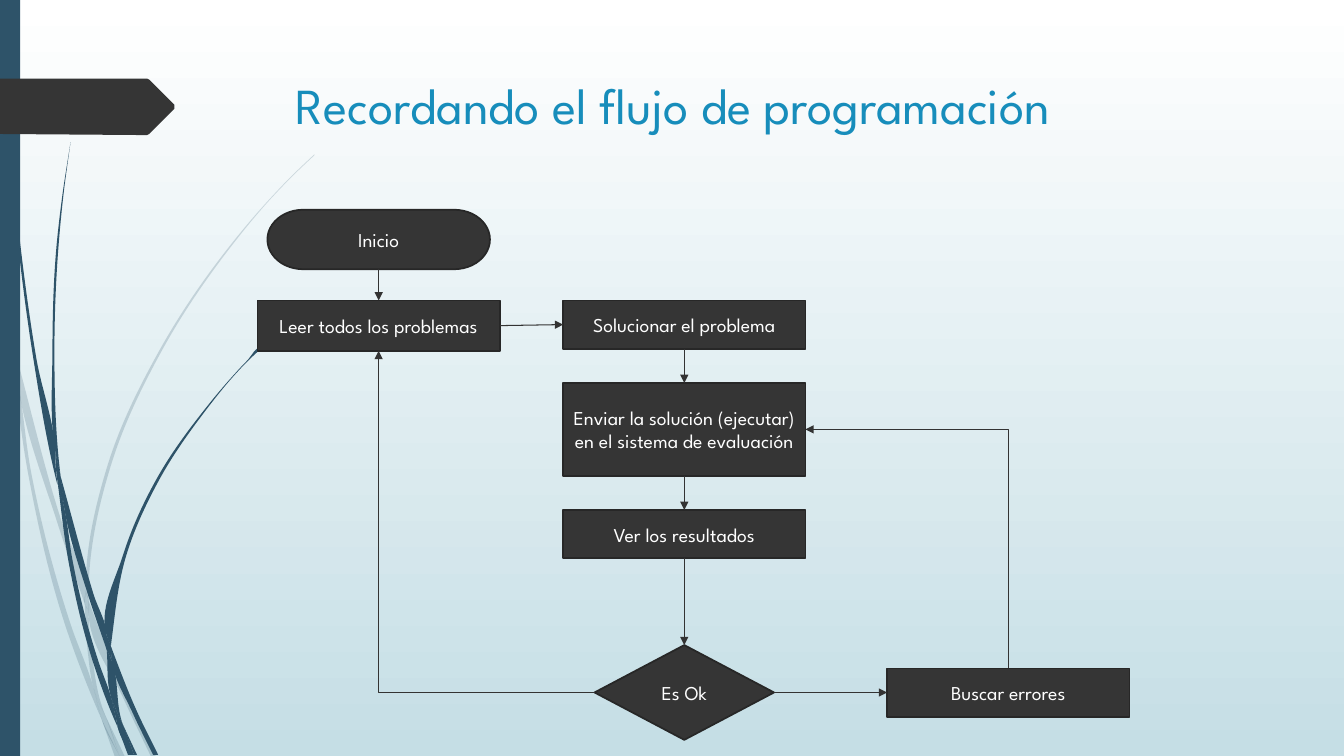
from lxml.etree import SubElement
from pptx import Presentation
from pptx.dml.color import RGBColor
from pptx.enum.shapes import MSO_CONNECTOR as LINE, MSO_SHAPE as SHAPE
from pptx.enum.text import MSO_ANCHOR as ANCHOR, PP_ALIGN as ALIGN
from pptx.oxml.ns import qn
from pptx.util import Pt

FONT = "League Spartan"
COLORS = {"sky": "FFFFFF", "mist": "C5DEE5", "stem": "2E5369", "box": "353535",
          "edge": "272727", "arrow": "333333", "title": "178DBB", "label": "FFFFFF"}
TITLE = "Recordando el flujo de programación"

# Flowchart steps: name -> (label, shape, centre x, top, width, height)
STEPS = {
    "start": ("Inicio", SHAPE.FLOWCHART_TERMINATOR, 270.5, 149.8, 159, 42.5),
    "read": ("Leer todos los problemas", SHAPE.FLOWCHART_PROCESS, 270.5, 214.6, 173, 36),
    "solve": ("Solucionar el problema", SHAPE.FLOWCHART_PROCESS, 488.8, 214.6, 173, 34.5),
    "send": ("Enviar la solución (ejecutar) en el sistema de evaluación",
             SHAPE.FLOWCHART_PROCESS, 488.8, 273.6, 173, 66.2),
    "results": ("Ver los resultados", SHAPE.FLOWCHART_PROCESS, 488.8, 364.3, 173, 34.5),
    "check": ("Es Ok", SHAPE.FLOWCHART_DECISION, 488.8, 460.8, 128.2, 67.7),
    "debug": ("Buscar errores", SHAPE.FLOWCHART_PROCESS, 720.2, 477.4, 173, 34.5),
}
TOP, LEFT, BOTTOM, RIGHT = range(4)

# Arrows: (first step, its side, second step, its side, line kind, end with the arrowhead)
ARROWS = [
    ("check", LEFT, "read", BOTTOM, LINE.ELBOW, "tailEnd"),
    ("read", RIGHT, "solve", LEFT, LINE.STRAIGHT, "tailEnd"),
    ("solve", BOTTOM, "send", TOP, LINE.STRAIGHT, "tailEnd"),
    ("send", BOTTOM, "results", TOP, LINE.STRAIGHT, "tailEnd"),
    ("results", BOTTOM, "check", TOP, LINE.STRAIGHT, "tailEnd"),
    ("check", RIGHT, "debug", LEFT, LINE.STRAIGHT, "tailEnd"),
    ("send", RIGHT, "debug", TOP, LINE.ELBOW, "headEnd"),
    ("start", BOTTOM, "read", TOP, LINE.STRAIGHT, "tailEnd"),
]

# Outlines of the grass and the tag, on a grid of 0.72 points
GRID = 0.72
PALE_GRASS = [
    [(11, 350), (9, 322), (0, 282), (0, 299), (10, 344)],
    [(58, 522), (84, 599), (85, 586), (62, 520), (14, 345), (17, 376)],
    [(92, 607), (88, 596), (88, 610), (123, 694), (150, 751), (155, 751), (127, 692)],
    [(119, 751), (124, 751), (105, 711)],
    [(93, 683), (70, 619), (31, 469), (17, 376), (11, 350), (28, 470), (65, 621), (92, 693),
     (101, 714), (99, 707)],
    [(84, 599), (87, 646), (93, 683), (96, 692), (105, 711), (103, 706), (91, 646), (88, 610),
     (88, 608)],
    [(88, 584), (110, 462), (160, 349), (229, 245), (268, 198), (290, 175), (312, 154),
     (312, 153), (289, 175), (268, 197), (228, 244), (158, 348), (107, 461), (85, 584),
     (85, 586), (88, 596)],
    [(101, 714), (114, 751), (119, 751)],
    [(88, 608), (88, 610), (88, 596), (85, 586), (84, 599)],
    [(96, 692), (93, 683), (99, 707), (101, 714), (119, 751), (105, 711)],
]
DARK_GRASS = [
    [(7, 110), (17, 233), (33, 355), (56, 477), (57, 481), (55, 457), (55, 453), (36, 355),
     (19, 232), (8, 109), (5, 48), (4, 0), (3, 0), (4, 48)],
    [(88, 592), (106, 645), (106, 633), (106, 631), (93, 590), (60, 472), (64, 505)],
    [(113, 649), (110, 641), (111, 656), (132, 708), (152, 749), (157, 749), (136, 706)],
    [(110, 691), (98, 657), (72, 556), (64, 505), (57, 477), (68, 557), (93, 659), (111, 708),
     (117, 722), (116, 717)],
    [(60, 472), (58, 453), (54, 349), (58, 245), (63, 193), (70, 141), (62, 193), (56, 245),
     (52, 349), (55, 449)],
    [(133, 749), (136, 749), (122, 719)],
    [(57, 477), (64, 505), (60, 472), (55, 449), (55, 453)],
    [(111, 633), (125, 552), (158, 476), (205, 406), (231, 374), (245, 359), (261, 344),
     (260, 344), (245, 358), (231, 373), (204, 405), (156, 474), (122, 551), (106, 631),
     (110, 641)],
    [(117, 722), (127, 749), (131, 749)],
    [(106, 645), (110, 691), (116, 706), (122, 719), (121, 716), (111, 656), (109, 651)],
    [(106, 645), (109, 651), (111, 656), (110, 641), (106, 631), (106, 633)],
    [(116, 706), (110, 691), (116, 717), (117, 722), (130, 749), (133, 749), (122, 719)],
]
TAG = [(173, 108), (148, 133), (146, 134), (136, 134), (0, 133), (0, 78), (136, 78),
       (146, 78), (148, 79), (173, 104)]


def color(name):
    """Return a named colour."""
    return RGBColor.from_string(COLORS[name])


def paint(shape, fill, edge=None):
    """Give a shape a flat fill and an optional outline."""
    shape.shadow.inherit = False
    shape.fill.solid()
    shape.fill.fore_color.rgb = color(fill)
    if edge:
        shape.line.color.rgb, shape.line.width = color(edge), Pt(1.25)
    else:
        shape.line.fill.background()


def write(shape, text, size, ink, **formats):
    """Put one paragraph into a shape."""
    frame = shape.text_frame
    for name, value in {"word_wrap": True, **formats}.items():
        setattr(frame, name, value)
    para = frame.paragraphs[0]
    span = para.add_run()
    span.text = text
    for name, value in {"name": FONT, "size": Pt(size)}.items():
        setattr(span.font, name, value)
    span.font.color.rgb = color(ink)
    return para


def heading(before, here, after):
    """Return the smooth direction through a point, or None at a corner."""
    enter, leave = here - before, after - here
    cosine = (enter * leave.conjugate()).real / abs(enter) / abs(leave)
    if cosine < 0.7:
        return None
    way = enter / abs(enter) * abs(leave) + leave / abs(leave) * abs(enter)
    return way / abs(way)


def bend(shape):
    """Turn the straight sides of a closed outline into curves."""
    sides = list(shape._element.iter(qn("a:lnTo")))
    ends = [complex(int(side[0].get("x")), int(side[0].get("y"))) for side in sides]
    count = len(ends)
    ways = [heading(ends[i - 1], ends[i], ends[(i + 1) % count]) for i in range(count)]
    for i, side in enumerate(sides):
        chord = ends[i] - ends[i - 1]
        straight = chord / abs(chord)
        reach = abs(chord) / 3
        controls = (ends[i - 1] + (ways[i - 1] or straight) * reach,
                    ends[i] - (ways[i] or straight) * reach)
        end = side[0]
        side.tag = qn("a:cubicBezTo")
        for control in controls:
            point = SubElement(side, qn("a:pt"))
            point.set("x", str(round(control.real)))
            point.set("y", str(round(control.imag)))
        side.append(end)


def add_outline(page, points, fill, curved=True, opacity=100):
    """Draw a closed outline from grid points."""
    corners = [(Pt(x * GRID), Pt(y * GRID)) for x, y in points]
    builder = page.shapes.build_freeform(*corners[0])
    builder.add_line_segments(corners[1:] + corners[:1], close=True)
    shape = builder.convert_to_shape()
    paint(shape, fill)
    if curved:
        bend(shape)
    if opacity < 100:
        tint = shape._element.spPr.find(".//" + qn("a:srgbClr"))
        SubElement(tint, qn("a:alpha")).set("val", str(opacity * 1000))


def add_step(page, label, kind, center, top, width, height):
    """Draw one flowchart step."""
    box = page.shapes.add_shape(kind, Pt(center - width / 2), Pt(top), Pt(width), Pt(height))
    paint(box, "box", "edge")
    write(box, label, 14, "label", vertical_anchor=ANCHOR.MIDDLE).alignment = ALIGN.CENTER
    return box


def site(box, side):
    """Return the middle of one side of a box."""
    x, y = box.left + box.width // 2, box.top + box.height // 2
    return {TOP: (x, box.top), LEFT: (box.left, y), BOTTOM: (x, box.top + box.height),
            RIGHT: (box.left + box.width, y)}[side]


def add_arrow(page, first, first_side, second, second_side, kind, head):
    """Join two steps with an arrow."""
    arrow = page.shapes.add_connector(kind, *site(first, first_side), *site(second, second_side))
    arrow.begin_connect(first, first_side)
    arrow.end_connect(second, second_side)
    arrow.line.color.rgb, arrow.line.width = color("arrow"), Pt(0.75)
    props = arrow._element.spPr
    if kind == LINE.ELBOW:
        props.find(qn("a:prstGeom")).set("prst", "bentConnector2")
    SubElement(props.find(qn("a:ln")), qn("a:" + head)).set("type", "triangle")
    SubElement(props, qn("a:effectLst"))


deck = Presentation()
deck.slide_width, deck.slide_height = Pt(960), Pt(540)
page = deck.slides.add_slide(deck.slide_layouts[6])
sky = page.background.fill
sky.gradient()
sky.gradient_angle = 270
for stop, name, position in zip(sky.gradient_stops, ("sky", "mist"), (0, 1)):
    stop.color.rgb, stop.position = color(name), position

for blades, opacity in ((PALE_GRASS, 20), (DARK_GRASS, 100)):
    for blade in blades:
        add_outline(page, blade, "stem", opacity=opacity)
paint(page.shapes.add_shape(SHAPE.RECTANGLE, 0, 0, Pt(14.4), Pt(540)), "stem")
add_outline(page, TAG, "box", curved=False)

title = page.shapes.add_textbox(Pt(204.2), Pt(49.2), Pt(733), Pt(100.8))
write(title, TITLE, 36, "title", vertical_anchor=ANCHOR.TOP)
boxes = {name: add_step(page, *step) for name, step in STEPS.items()}
for first, first_side, second, second_side, kind, head in ARROWS:
    add_arrow(page, boxes[first], first_side, boxes[second], second_side, kind, head)

deck.save("out.pptx")
